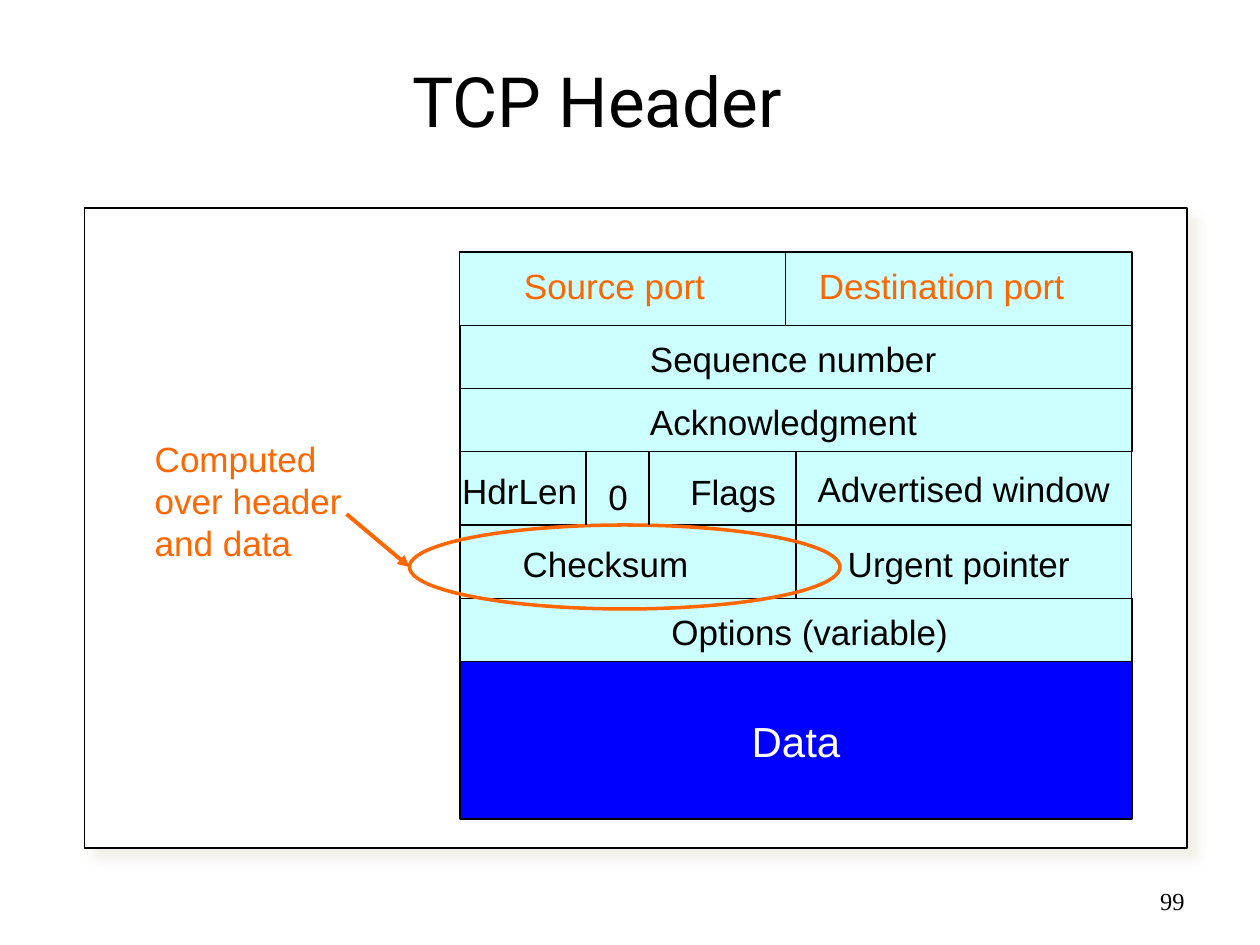
from pptx import Presentation
from pptx.dml.color import RGBColor
from pptx.enum.shapes import MSO_CONNECTOR, MSO_SHAPE
from pptx.enum.text import MSO_ANCHOR, PP_ALIGN
from pptx.oxml import parse_xml
from pptx.oxml.ns import nsdecls
from pptx.util import Inches, Pt

THEME = {
    "black": RGBColor.from_string("000000"),
    "white": RGBColor.from_string("FFFFFF"),
    "field": RGBColor.from_string("CCFFFF"),
    "data": RGBColor.from_string("0000FF"),
    "accent": RGBColor.from_string("FF6600"),
    "shadow": "EEECE1",
    "title": 39.6, "payload": 24, "label": 20, "number": 14,
    "thin": 0.75, "ring": 2, "arrow": 2.25,
}
UNIT = 1 / 12          # grid step in inches
LEFT, TOP = 3.65, 2    # corner of the header diagram

deck = Presentation()
deck.slide_width, deck.slide_height = Inches(10), Inches(7.5)
page = deck.slides.add_slide(deck.slide_layouts[6])


def add_box(place, fill=None, line=None, width=THEME["thin"], kind=MSO_SHAPE.RECTANGLE):
    shape = page.shapes.add_shape(kind, *map(Inches, place))
    shape.shadow.inherit = False
    if fill is None:
        shape.fill.background()
    else:
        shape.fill.solid()
        shape.fill.fore_color.rgb = fill
    if line is None:
        shape.line.fill.background()
    else:
        shape.line.color.rgb = line
        shape.line.width = Pt(width)
    return shape


def write(shape, text, size, color, font="Arial", align=PP_ALIGN.LEFT,
          anchor=MSO_ANCHOR.TOP, wrap=False):
    frame = shape.text_frame
    frame.text = text
    frame.word_wrap = wrap
    frame.vertical_anchor = anchor
    for para in frame.paragraphs:
        para.alignment = align
        for span in para.runs:
            span.font.color.rgb = color
            for name, value in {"size": Pt(size), "name": font}.items():
                setattr(span.font, name, value)


# Page number, shadowed panel and title
number = page.shapes.add_textbox(*map(Inches, (7.17, 6.95, 2.33, 0.4)))
write(number, "99", THEME["number"], THEME["black"], "Times New Roman",
      PP_ALIGN.RIGHT, MSO_ANCHOR.MIDDLE, True)

panel = add_box((0.67, 1.65, 8.75, 5.08), THEME["white"], THEME["black"])
panel.shadow.inherit = True
panel.element.spPr.append(parse_xml(
    f'<a:effectLst {nsdecls("a")}><a:outerShdw blurRad="{Pt(5)}" dist="{Pt(8.5)}" '
    f'dir="2700000" algn="ctr" rotWithShape="0"><a:srgbClr val="{THEME["shadow"]}">'
    '<a:alpha val="75000"/></a:srgbClr></a:outerShdw></a:effectLst>'))

title = page.shapes.add_textbox(*map(Inches, (0.33, 0.42, 8.82, 0.75)))
write(title, "TCP Header", THEME["title"], THEME["black"], "Roboto",
      PP_ALIGN.CENTER, MSO_ANCHOR.MIDDLE, True)

# Header rows: height and field widths, in grid steps
rows = [(7, [31, 33]), (6, [64]), (6, [64]), (7, [32, 32]), (7, [32, 32]), (6, [64])]
row_tops = []
row_top = TOP
for height, widths in rows:
    row_tops.append(row_top)
    field_left = LEFT
    for width in widths:
        add_box((field_left, row_top, width * UNIT, height * UNIT),
                THEME["field"], THEME["black"])
        field_left += width * UNIT
    row_top += height * UNIT

# Payload below the header
payload = add_box((LEFT, row_top, 64 * UNIT, 15 * UNIT), THEME["data"], THEME["black"])
write(payload, "Data", THEME["payload"], THEME["white"],
      align=PP_ALIGN.CENTER, anchor=MSO_ANCHOR.MIDDLE)

# Field labels: text, row, left, drop below the row's top, width, colour
labels = [
    ("Source port", 0, 4.06, 0.05, 1.64, "accent"),
    ("Destination port", 0, 6.4, 0.05, 2.15, "accent"),
    ("Sequence number", 1, 5.06, 0.05, 2.47, "black"),
    ("Acknowledgment", 2, 5.06, 0.05, 2.32, "black"),
    ("HdrLen", 3, 3.57, 0.09, 1.17, "black"),
    ("0", 3, 4.73, 0.14, 0.36, "black"),
    ("Flags", 3, 5.38, 0.1, 0.88, "black"),
    ("Advertised window", 3, 6.39, 0.08, 2.52, "black"),
    ("Checksum", 4, 4.05, 0.09, 1.51, "black"),
    ("Urgent pointer", 4, 6.63, 0.09, 1.96, "black"),
    ("Options (variable)", 5, 5.23, 0.05, 2.39, "black"),
]
for text, row, left, drop, width, color in labels:
    place = (left, row_tops[row] + drop, width, 0.43)
    if text == "HdrLen":  # overhangs its field, so it stays unfilled
        label = page.shapes.add_textbox(*map(Inches, place))
    else:
        label = add_box(place, THEME["field"])
    write(label, text, THEME["label"], THEME[color])

# Checksum note and ring
note = page.shapes.add_textbox(*map(Inches, (1.13, 3.42, 1.7, 1.11)))
write(note, "Computed\vover header\nand data", THEME["label"], THEME["accent"])
add_box((3.25, row_tops[4], 41 * UNIT, 8 * UNIT), None, THEME["accent"],
        THEME["ring"], MSO_SHAPE.OVAL)

# Dividers of the fourth row, then the arrow from note to ring
lines = [((x, row_tops[3]), (x, row_tops[4]), "black", "thin") for x in (4.65, 5.15)]
lines.append(((2.75, 4.08), (3.25, 4.5), "accent", "arrow"))
for start, end, color, weight in lines:
    connector = page.shapes.add_connector(
        MSO_CONNECTOR.STRAIGHT, *map(Inches, start + end))
    connector.line.color.rgb = THEME[color]
    connector.line.width = Pt(THEME[weight])
    if weight == "arrow":
        connector.line._get_or_add_ln().append(
            parse_xml(f'<a:tailEnd {nsdecls("a")} type="triangle"/>'))
    connector.element.spPr.append(parse_xml(f'<a:effectLst {nsdecls("a")}/>'))

deck.save("out.pptx")
